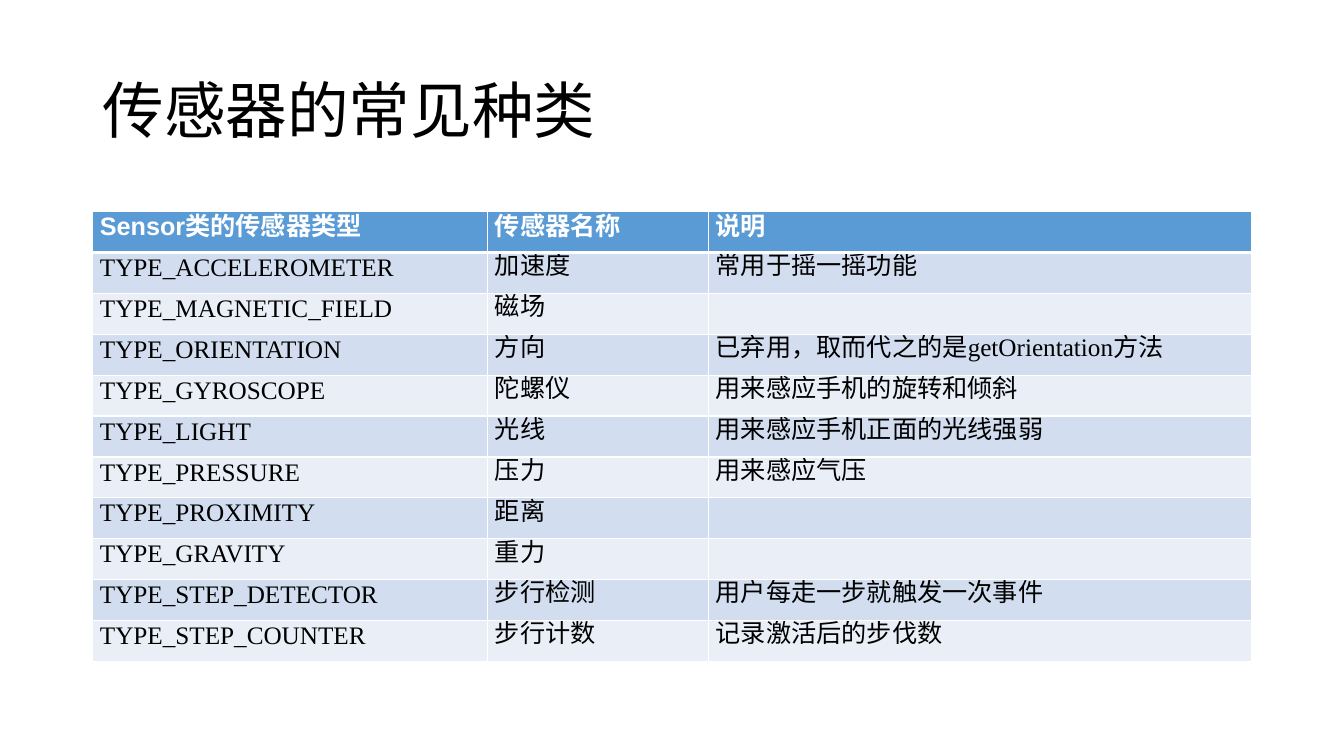
from lxml import etree
from pptx import Presentation
from pptx.dml.color import RGBColor
from pptx.enum.text import MSO_ANCHOR, PP_ALIGN
from pptx.oxml.ns import qn
from pptx.util import Pt

# Content
TITLE = "传感器的常见种类"
HEADER = ("Sensor类的传感器类型", "传感器名称", "说明")
SENSORS = [
    ("TYPE_ACCELEROMETER", "加速度", "常用于摇一摇功能"),
    ("TYPE_MAGNETIC_FIELD", "磁场", ""),
    ("TYPE_ORIENTATION", "方向", "已弃用，取而代之的是getOrientation方法"),
    ("TYPE_GYROSCOPE", "陀螺仪", "用来感应手机的旋转和倾斜"),
    ("TYPE_LIGHT", "光线", "用来感应手机正面的光线强弱"),
    ("TYPE_PRESSURE", "压力", "用来感应气压"),
    ("TYPE_PROXIMITY", "距离", ""),
    ("TYPE_GRAVITY", "重力", ""),
    ("TYPE_STEP_DETECTOR", "步行检测", "用户每走一步就触发一次事件"),
    ("TYPE_STEP_COUNTER", "步行计数", "记录激活后的步伐数"),
]

# Look
COLORS = {"white": "FFFFFF", "black": "000000", "header": "5B9BD5",
          "odd": "D2DEEF", "even": "EAEFF7"}
LEFT, JUSTIFY, MIDDLE = PP_ALIGN.LEFT, PP_ALIGN.JUSTIFY, MSO_ANCHOR.MIDDLE
SIDE, WIDTH = 66, 828
TABLE_TOP, ROW_HEIGHT = 151.2, 29.2
COLUMN_WIDTHS = (282.2, 157.7, 388.1)
CELL_INSET = 5.4


def write_text(frame, text, font, size, color, bold=False, align=LEFT, spacing=None):
    para = frame.paragraphs[0]
    para.alignment = align
    para.line_spacing = spacing
    span = para.add_run()
    span.text = text
    span.font.name = font
    span.font.size = Pt(size)
    span.font.bold = bold
    span.font.color.rgb = RGBColor.from_string(COLORS[color])


def add_border(cell, edge, width):
    properties = cell._tc.get_or_add_tcPr()
    line = etree.SubElement(properties, qn(f"a:ln{edge}"), w=str(Pt(width)))
    fill = etree.SubElement(line, qn("a:solidFill"))
    etree.SubElement(fill, qn("a:srgbClr"), val=COLORS["white"])


deck = Presentation()
deck.slide_width, deck.slide_height = Pt(960), Pt(540)
page = deck.slides.add_slide(deck.slide_layouts[5])

# Title
title = page.shapes.title
title.left, title.top, title.width, title.height = Pt(SIDE), Pt(28.8), Pt(WIDTH), Pt(104.4)
title.text_frame.vertical_anchor = MIDDLE
write_text(title.text_frame, TITLE, font="Calibri", size=44, color="black", spacing=0.9)

# Sensor table
rows = [HEADER] + SENSORS
table = page.shapes.add_table(len(rows), len(HEADER), Pt(SIDE), Pt(TABLE_TOP),
                              Pt(WIDTH), Pt(ROW_HEIGHT * len(rows))).table
for column, width in zip(table.columns, COLUMN_WIDTHS):
    column.width = Pt(width)

header_format = dict(font="Arial", size=18, color="white", bold=True,
                     align=JUSTIFY, spacing=Pt(15.6))
body_format = dict(font="Times New Roman", size=18, color="black", spacing=Pt(13))

for row_index, texts in enumerate(rows):
    table.rows[row_index].height = Pt(ROW_HEIGHT)
    if row_index == 0:
        fill, text_format = "header", header_format
        borders = {"L": 1, "R": 1, "T": 1, "B": 3}
    else:
        fill, text_format = ("odd" if row_index % 2 else "even"), body_format
        borders = {"L": 1, "R": 1, "B": 1}
    for column_index, text in enumerate(texts):
        cell = table.cell(row_index, column_index)
        cell.vertical_anchor = MIDDLE
        cell.margin_left = cell.margin_right = Pt(CELL_INSET)
        cell.margin_top = cell.margin_bottom = 0
        for edge, width in borders.items():
            add_border(cell, edge, width)
        cell.fill.solid()
        cell.fill.fore_color.rgb = RGBColor.from_string(COLORS[fill])
        if text:
            write_text(cell.text_frame, text, **text_format)

deck.save("out.pptx")
